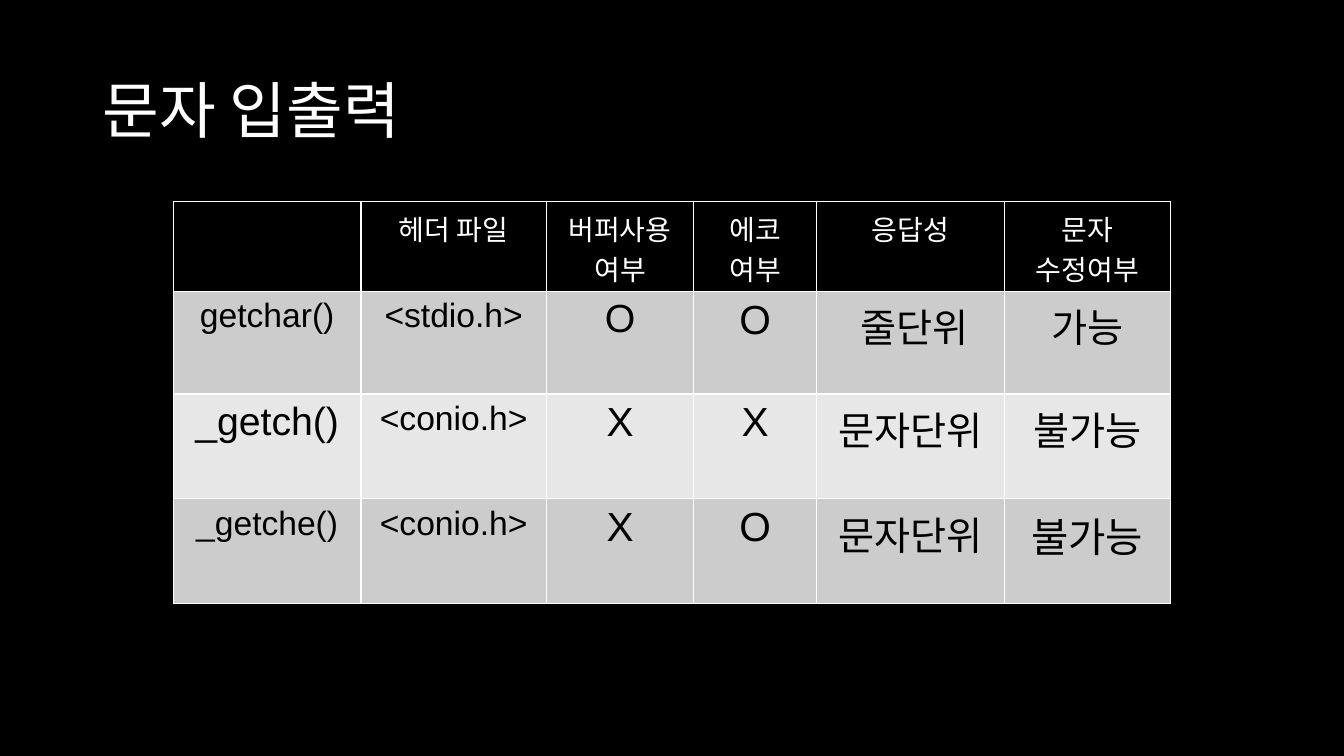
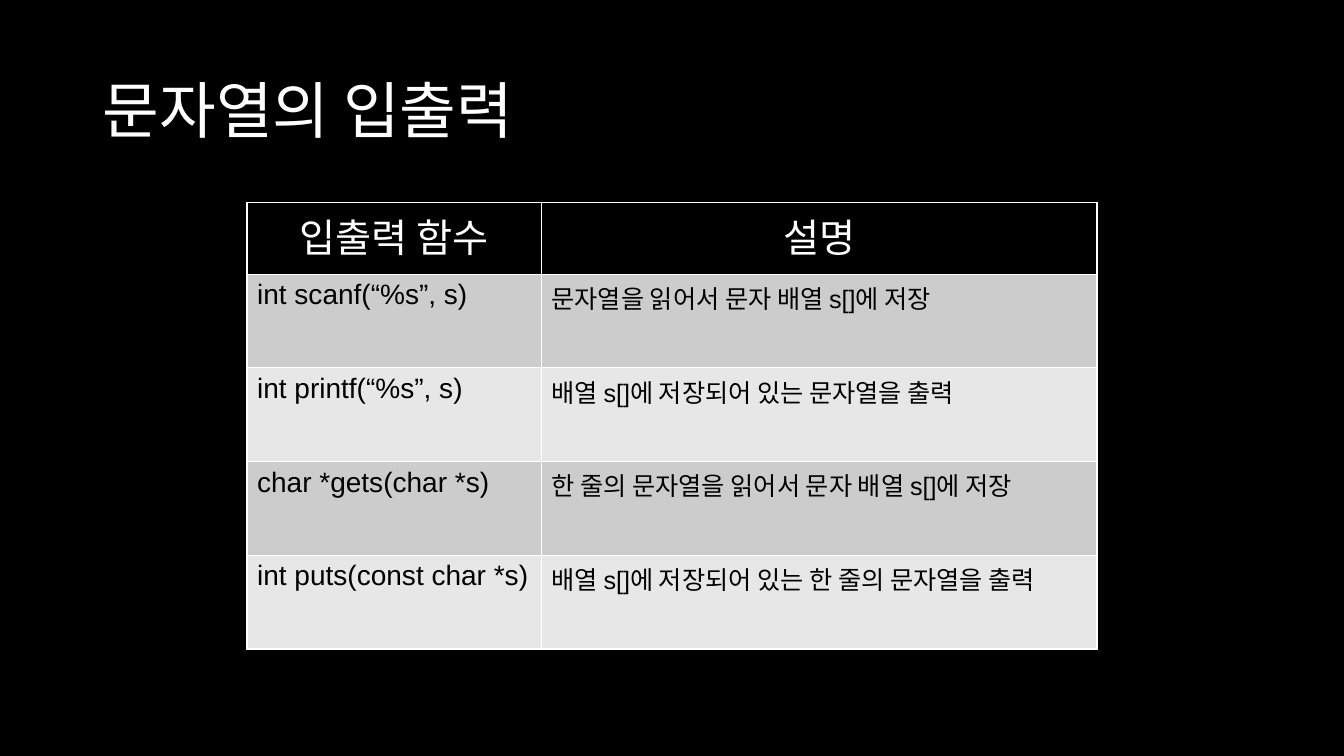
from lxml.etree import SubElement
from pptx import Presentation
from pptx.dml.color import RGBColor
from pptx.enum.text import MSO_ANCHOR as ANCHOR, PP_ALIGN as ALIGN
from pptx.oxml.ns import qn
from pptx.util import Inches, Pt

BLACK = RGBColor(0x00, 0x00, 0x00)
WHITE = RGBColor(0xFF, 0xFF, 0xFF)
BANDS = [RGBColor(0xCC, 0xCC, 0xCC), RGBColor(0xE7, 0xE7, 0xE7)]
LATIN, KOREAN = "Arial", "Noto Sans CJK KR"

SLIDES = [
    {
        "title": "문자 입출력",
        "left": 1.72, "top": 2, "inset": (0.12, 0.06),
        "cols": [1.86, 1.84, 1.46, 1.22, 1.86, 1.65],
        "heights": [0.89, 1.02, 1.04, 1.04],
        "body_align": ALIGN.CENTER,
        "rows": [
            ["", "헤더 파일", "버퍼사용\n여부", "에코\n여부", "응답성", "문자\n수정여부"],
            ["getchar()", "<stdio.h>", "O", "O", " 줄단위", "가능"],
            ["_getch()", "<conio.h>", "X", "X", "문자단위", "불가능"],
            ["_getche()", "<conio.h>", "X", "O", "문자단위", "불가능"],
        ],
        "sizes": [
            [20] * 6,
            [24, 24, 28, 29, 28, 28],
            [28, 24, 29, 29, 28, 28],
            [24, 24, 29, 29, 28, 29],
        ],
    },
    {
        "title": "문자열의 입출력",
        "left": 2.45, "top": 2.01, "inset": (0.1, 0.05),
        "cols": [2.92, 5.51],
        "heights": [0.71] + [0.93] * 4,
        "body_align": ALIGN.LEFT,
        "rows": [
            ["입출력 함수", "설명"],
            ["int scanf(“%s”, s)", "문자열을 읽어서 문자 배열 s[]에 저장"],
            ["int printf(“%s”, s)", "배열 s[]에 저장되어 있는 문자열을 출력"],
            ["char *gets(char *s)", "한 줄의 문자열을 읽어서 문자 배열 s[]에 저장"],
            ["int puts(const char *s)", "배열 s[]에 저장되어 있는 한 줄의 문자열을 출력"],
        ],
        "sizes": [[28, 28]] + [[20, 18]] * 4,
    },
]


def add_run(p, text, size, color, font=LATIN):
    r = p.add_run()
    r.text = text
    r.font.color.rgb = color
    for name, value in {"size": Pt(size), "name": font, "bold": False}.items():
        setattr(r.font, name, value)
    SubElement(r.font._element, qn("a:ea"), typeface=KOREAN)


def add_title(s, text):
    box = s.shapes.add_textbox(Inches(0.92), Inches(0.4), Inches(11.5), Inches(1.45))
    tf = box.text_frame
    tf.word_wrap = True
    tf.vertical_anchor = ANCHOR.MIDDLE
    p = tf.paragraphs[0]
    p.line_spacing = 0.9
    add_run(p, text, 44, WHITE, KOREAN)


def add_borders(cell):
    tc_pr = cell._tc.get_or_add_tcPr()
    for side in ("lnL", "lnR", "lnT", "lnB"):
        ln = SubElement(tc_pr, qn(f"a:{side}"), w=str(Pt(1)))
        fill = SubElement(ln, qn("a:solidFill"))
        SubElement(fill, qn("a:srgbClr"), val=str(WHITE))


def fill_cell(cell, text, size, color, fill, align, inset):
    add_borders(cell)
    cell.fill.solid()
    cell.fill.fore_color.rgb = fill
    across, down = map(Inches, inset)
    margins = {"margin_left": across, "margin_right": across,
               "margin_top": down, "margin_bottom": down}
    for name, value in margins.items():
        setattr(cell, name, value)
    if not text:
        return
    tf = cell.text_frame
    for i, line in enumerate(text.split("\n")):
        p = tf.add_paragraph() if i else tf.paragraphs[0]
        p.alignment = align
        add_run(p, line, size, color)


def add_grid(s, data):
    cols, heights = data["cols"], data["heights"]
    table = s.shapes.add_table(
        len(heights), len(cols), Inches(data["left"]), Inches(data["top"]),
        Inches(sum(cols)), Inches(sum(heights))).table
    table.first_row = table.horz_banding = False
    for col, width in zip(table.columns, cols):
        col.width = Inches(width)
    for i, (row, height) in enumerate(zip(table.rows, heights)):
        row.height = Inches(height)
        if i == 0:
            color, fill, align = WHITE, BLACK, ALIGN.CENTER
        else:
            color, fill, align = BLACK, BANDS[(i - 1) % 2], data["body_align"]
        for cell, text, size in zip(row.cells, data["rows"][i], data["sizes"][i]):
            fill_cell(cell, text, size, color, fill, align, data["inset"])


def main():
    prs = Presentation()
    prs.slide_width, prs.slide_height = Inches(13.33), Inches(7.5)
    for data in SLIDES:
        s = prs.slides.add_slide(prs.slide_layouts[6])
        s.background.fill.solid()
        s.background.fill.fore_color.rgb = BLACK
        add_title(s, data["title"])
        add_grid(s, data)
    prs.save("out.pptx")


if __name__ == "__main__":
    main()
